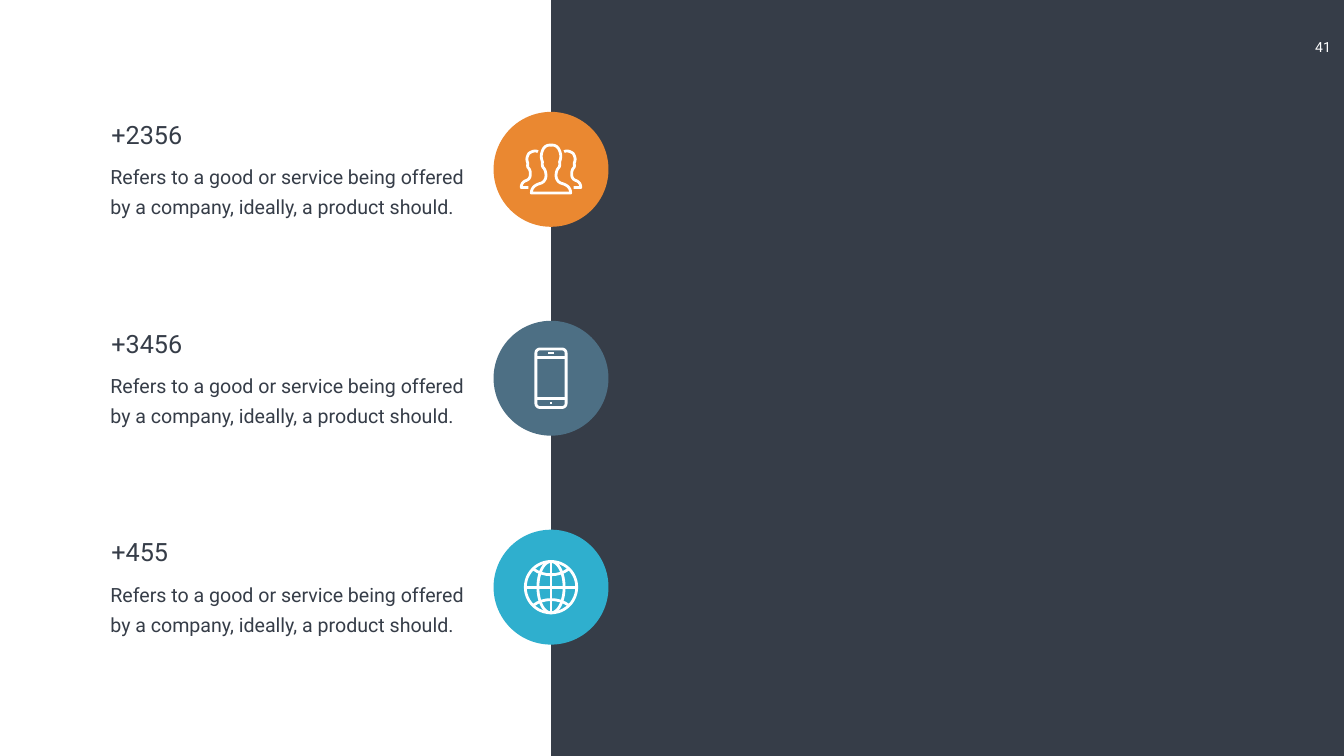
from dataclasses import dataclass
from math import cos, pi, sin

from pptx import Presentation
from pptx.dml.color import RGBColor
from pptx.enum.shapes import MSO_SHAPE
from pptx.enum.text import MSO_AUTO_SIZE, PP_ALIGN
from pptx.shapes.autoshape import Shape
from pptx.shapes.shapetree import GroupShapes, SlideShapes
from pptx.util import Inches, Pt

DARK = RGBColor(0x36, 0x3D, 0x48)
WHITE = RGBColor(0xFF, 0xFF, 0xFF)
ORANGE = RGBColor(0xEA, 0x88, 0x31)
SLATE = RGBColor(0x4D, 0x6F, 0x84)
CYAN = RGBColor(0x2F, 0xAF, 0xCE)

FONT = "Roboto"
SLIDE_WIDTH, SLIDE_HEIGHT = 26.66, 15
PANEL_WIDTH = 10.93
FIRST_CENTER, LAST_CENTER = 3.36, 11.65
BADGE_SIZE = 2.28
ICON_STROKE = Pt(4)
DESCRIPTION = "Refers to a good or service being offered by a company, ideally, a product should."

Point = tuple[float, float]
Curve = tuple[Point, Point, Point]
Stroke = list[Point]

# Right-hand halves of the people icon, as offsets from the badge centre.
FRONT_START: Point = (0, -0.48)
FRONT_CURVES: list[Curve] = [
    ((0.08, -0.49), (0.14, -0.45), (0.17, -0.37)),
    ((0.21, -0.27), (0.19, -0.20), (0.17, -0.15)),
    ((0.18, -0.06), (0.16, -0.04), (0.15, -0.03)),
    ((0.12, 0), (0.10, 0.05), (0.10, 0.13)),
    ((0.10, 0.23), (0.19, 0.28), (0.22, 0.28)),
    ((0.28, 0.30), (0.39, 0.34), (0.39, 0.47)),
]
BACK_START: Point = (0.26, -0.35)
BACK_CURVES: list[Curve] = [
    ((0.29, -0.37), (0.35, -0.37), (0.40, -0.34)),
    ((0.44, -0.32), (0.45, -0.31), (0.47, -0.25)),
    ((0.49, -0.20), (0.47, -0.15), (0.46, -0.12)),
    ((0.47, -0.05), (0.46, -0.04), (0.45, -0.03)),
    ((0.42, 0), (0.41, 0.04), (0.41, 0.10)),
    ((0.41, 0.18), (0.46, 0.21), (0.49, 0.22)),
    ((0.54, 0.24), (0.59, 0.27), (0.59, 0.36)),
]
BACK_END: Point = (0.45, 0.36)


def trace(start: Point, curves: list[Curve], steps: int = 8) -> Stroke:
    """Sample a chain of cubic Bézier curves."""
    points = [start]
    for first, second, end in curves:
        knots = (points[-1], first, second, end)
        for step in range(1, steps + 1):
            t = step / steps
            u = 1 - t
            weights = (u**3, 3 * u * u * t, 3 * u * t * t, t**3)
            points.append((sum(w * x for w, (x, _) in zip(weights, knots)),
                           sum(w * y for w, (_, y) in zip(weights, knots))))
    return points


def arc(x: float, y: float, rx: float, ry: float, start: float = 0,
        sweep: float = 2 * pi, steps: int = 48) -> Stroke:
    angles = [start + sweep * step / steps for step in range(steps + 1)]
    return [(x + rx * cos(angle), y + ry * sin(angle)) for angle in angles]


def mirror(points: Stroke) -> Stroke:
    return [(-x, y) for x, y in points]


def people_strokes() -> list[Stroke]:
    front = trace(FRONT_START, FRONT_CURVES)
    back = trace(BACK_START, BACK_CURVES) + [BACK_END]
    return [front + mirror(front)[::-1], back, mirror(back)]


def phone_strokes() -> list[Stroke]:
    half_width, half_height, radius = 0.3, 0.58, 0.08
    case: Stroke = []
    for quarter, (sx, sy) in enumerate([(1, 1), (-1, 1), (-1, -1), (1, -1)]):
        case += arc(sx * (half_width - radius), sy * (half_height - radius),
                    radius, radius, quarter * pi / 2, pi / 2, 8)
    bars = [(-0.41, half_width), (0.41, half_width), (-0.5, 0.05), (0.49, 0.02)]
    return [case + case[:1]] + [[(-half, y), (half, y)] for y, half in bars]


def globe_strokes() -> list[Stroke]:
    radius = 0.51
    parallels = [trace((-0.35, y), [((-0.16, y * 0.58), (0.16, y * 0.58), (0.35, y))])
                 for y in (-0.36, 0.36)]
    return [arc(0, 0, radius, radius), arc(0, 0, 0.26, radius),
            [(-radius, 0), (radius, 0)], [(0, -radius), (0, radius)], *parallels]


@dataclass
class Metric:
    value: str
    color: RGBColor
    icon: list[Stroke]


METRICS = [
    Metric("+2356", ORANGE, people_strokes()),
    Metric("+3456", SLATE, phone_strokes()),
    Metric("+455", CYAN, globe_strokes()),
]


def add_solid(shapes: SlideShapes | GroupShapes, kind: MSO_SHAPE, left: float, top: float,
              width: float, height: float, color: RGBColor) -> None:
    shape = shapes.add_shape(kind, Inches(left), Inches(top), Inches(width), Inches(height))
    shape.shadow.inherit = False
    shape.fill.solid()
    shape.fill.fore_color.rgb = color
    shape.line.fill.background()


def add_icon(shapes: GroupShapes, strokes: list[Stroke], x: float, y: float) -> None:
    """Draw all strokes as one outline around the given centre."""
    placed = [[(Inches(x + dx), Inches(y + dy)) for dx, dy in stroke] for stroke in strokes]
    builder = shapes.build_freeform(*placed[0][0])
    builder.add_line_segments(placed[0][1:], close=False)
    for start, *rest in placed[1:]:
        builder.move_to(*start)
        builder.add_line_segments(rest, close=False)
    icon = builder.convert_to_shape()
    icon.shadow.inherit = False
    icon.fill.background()
    icon.line.color.rgb, icon.line.width = WHITE, ICON_STROKE


def add_text(shapes: SlideShapes, text: str, left: float, top: float, width: float,
             height: float, size: int, color: RGBColor, inset: Point = (0.1, 0.05)) -> Shape:
    box = shapes.add_textbox(Inches(left), Inches(top), Inches(width), Inches(height))
    frame = box.text_frame
    frame.word_wrap = True
    frame.auto_size = MSO_AUTO_SIZE.SHAPE_TO_FIT_TEXT
    frame.margin_left = frame.margin_right = Inches(inset[0])
    frame.margin_top = frame.margin_bottom = Inches(inset[1])
    frame.text = text
    font = frame.paragraphs[0].runs[0].font
    font.name, font.size, font.color.rgb = FONT, Pt(size), color
    return box


def draw_metric(shapes: SlideShapes, metric: Metric, center: float) -> None:
    body = add_text(shapes, DESCRIPTION, 1.95, center - 0.34, 7.62, 1.39, 28, DARK, (0.24, 0.12))
    body.text_frame.paragraphs[0].line_spacing = Pt(43)
    add_text(shapes, metric.value, 2.11, center - 1.05, 5.67, 0.71, 36, DARK)
    badge = shapes.add_group_shape().shapes
    add_solid(badge, MSO_SHAPE.OVAL, PANEL_WIDTH - BADGE_SIZE / 2, center - BADGE_SIZE / 2,
              BADGE_SIZE, BADGE_SIZE, metric.color)
    add_icon(badge, metric.icon, PANEL_WIDTH, center)


def main() -> None:
    deck = Presentation()
    deck.slide_width, deck.slide_height = Inches(SLIDE_WIDTH), Inches(SLIDE_HEIGHT)
    slide = deck.slides.add_slide(deck.slide_layouts[6])
    slide.background.fill.solid()
    slide.background.fill.fore_color.rgb = DARK

    page_number = add_text(slide.shapes, "41", 25.79, 0.67, 0.91, 0.54, 20, WHITE, (0.2, 0.1))
    page_number.text_frame.word_wrap = False
    page_number.text_frame.paragraphs[0].alignment = PP_ALIGN.CENTER
    add_solid(slide.shapes, MSO_SHAPE.RECTANGLE, 0, 0, PANEL_WIDTH, SLIDE_HEIGHT, WHITE)
    pitch = (LAST_CENTER - FIRST_CENTER) / (len(METRICS) - 1)
    for row, metric in enumerate(METRICS):
        draw_metric(slide.shapes, metric, FIRST_CENTER + row * pitch)
    deck.save("out.pptx")


if __name__ == "__main__":
    main()
